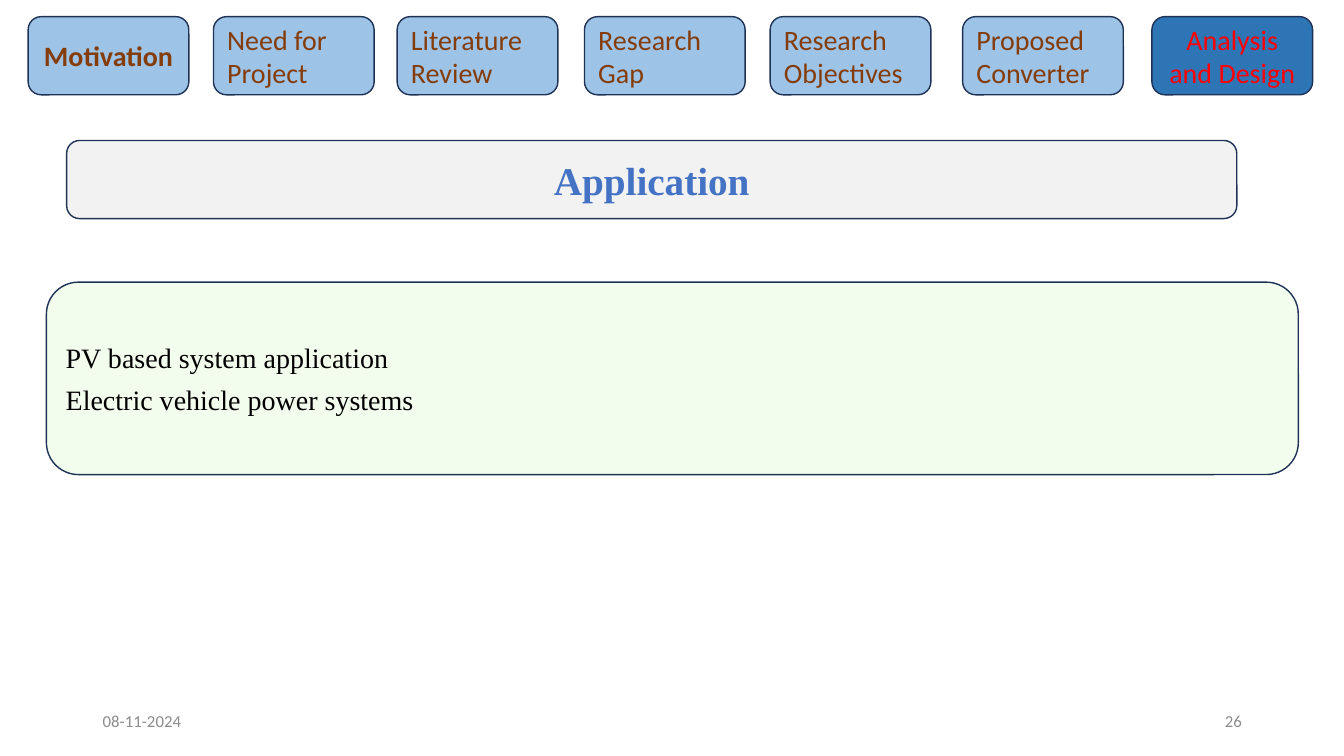
from dataclasses import dataclass

from pptx import Presentation
from pptx.dml.color import RGBColor
from pptx.enum.shapes import MSO_SHAPE
from pptx.enum.text import MSO_ANCHOR, PP_ALIGN
from pptx.shapes.autoshape import Shape
from pptx.slide import Slide
from pptx.util import Cm, Pt

OUTLINE = RGBColor(0x1E, 0x32, 0x56)
TAB_BLUE = RGBColor(0x9D, 0xC3, 0xE6)
ACTIVE_BLUE = RGBColor(0x2E, 0x75, 0xB6)
TAB_BROWN = RGBColor(0x84, 0x3C, 0x0B)
ACTIVE_RED = RGBColor(0xFF, 0x00, 0x00)
TITLE_GREY = RGBColor(0xF2, 0xF2, 0xF2)
TITLE_BLUE = RGBColor(0x44, 0x72, 0xC4)
BODY_GREEN = RGBColor(0xF3, 0xFD, 0xED)
BLACK = RGBColor(0x00, 0x00, 0x00)
FOOTER_GREY = RGBColor(0x8C, 0x8C, 0x8C)

SANS = "Calibri"
SERIF = "Times New Roman"


@dataclass(frozen=True)
class TextStyle:
    font: str
    size: int
    color: RGBColor
    bold: bool = False
    alignment: PP_ALIGN = PP_ALIGN.LEFT
    space_after: int = 0


@dataclass(frozen=True)
class Box:
    left: float
    top: float
    width: float
    height: float

    def lengths(self) -> tuple[Cm, Cm, Cm, Cm]:
        return Cm(self.left), Cm(self.top), Cm(self.width), Cm(self.height)


@dataclass(frozen=True)
class Tab:
    text: str
    left: float
    style: TextStyle
    fill: RGBColor = TAB_BLUE


TAB_STYLE = TextStyle(SANS, 20, TAB_BROWN, space_after=6)
FIRST_TAB_STYLE = TextStyle(SANS, 20, TAB_BROWN, bold=True, alignment=PP_ALIGN.CENTER)
ACTIVE_TAB_STYLE = TextStyle(SANS, 20, ACTIVE_RED, alignment=PP_ALIGN.CENTER)
TITLE_STYLE = TextStyle(SERIF, 28, TITLE_BLUE, bold=True, alignment=PP_ALIGN.CENTER)
BODY_STYLE = TextStyle(SERIF, 20, BLACK, space_after=6)
DATE_STYLE = TextStyle(SANS, 12, FOOTER_GREY)
NUMBER_STYLE = TextStyle(SANS, 12, FOOTER_GREY, alignment=PP_ALIGN.RIGHT)

TABS = [
    Tab("Motivation", 0.71, FIRST_TAB_STYLE),
    Tab("Need for Project", 5.38, TAB_STYLE),
    Tab("Literature Review", 10.01, TAB_STYLE),
    Tab("Research Gap", 14.73, TAB_STYLE),
    Tab("Research Objectives", 19.41, TAB_STYLE),
    Tab("Proposed Converter", 24.26, TAB_STYLE),
    Tab("Analysis and Design", 29.03, ACTIVE_TAB_STYLE, ACTIVE_BLUE),
]
APPLICATIONS = ["PV based system application", "Electric vehicle power systems"]


def write_lines(shape: Shape, lines: list[str], style: TextStyle) -> None:
    frame = shape.text_frame
    frame.word_wrap = True
    frame.vertical_anchor = MSO_ANCHOR.MIDDLE
    frame.text = "\n".join(lines)
    for paragraph in frame.paragraphs:
        paragraph.alignment = style.alignment
        paragraph.space_after = Pt(style.space_after)
        paragraph.font.name = style.font
        paragraph.font.size = Pt(style.size)
        paragraph.font.bold = style.bold
        paragraph.font.color.rgb = style.color


def add_panel(slide: Slide, box: Box, fill: RGBColor, lines: list[str], style: TextStyle) -> None:
    shape = slide.shapes.add_shape(MSO_SHAPE.ROUNDED_RECTANGLE, *box.lengths())
    shape.shadow.inherit = False
    shape.fill.solid()
    shape.fill.fore_color.rgb = fill
    shape.line.color.rgb = OUTLINE
    shape.line.width = Pt(1)
    write_lines(shape, lines, style)


def add_footer(slide: Slide, left: float, text: str, style: TextStyle) -> None:
    box = Box(left, 17.65, 7.62, 1.01)
    write_lines(slide.shapes.add_textbox(*box.lengths()), [text], style)


def main() -> None:
    presentation = Presentation()
    presentation.slide_width = Cm(33.87)
    presentation.slide_height = Cm(19.05)
    slide = presentation.slides.add_slide(presentation.slide_layouts[6])

    for tab in TABS:
        add_panel(slide, Box(tab.left, 0.42, 4.05, 1.97), tab.fill, [tab.text], tab.style)
    add_panel(slide, Box(1.68, 3.54, 29.49, 1.97), TITLE_GREY, ["Application"], TITLE_STYLE)
    add_panel(slide, Box(1.17, 7.11, 31.55, 4.85), BODY_GREEN, APPLICATIONS, BODY_STYLE)
    add_footer(slide, 2.34, "08-11-2024", DATE_STYLE)
    add_footer(slide, 23.93, "26", NUMBER_STYLE)

    presentation.save("out.pptx")


if __name__ == "__main__":
    main()
